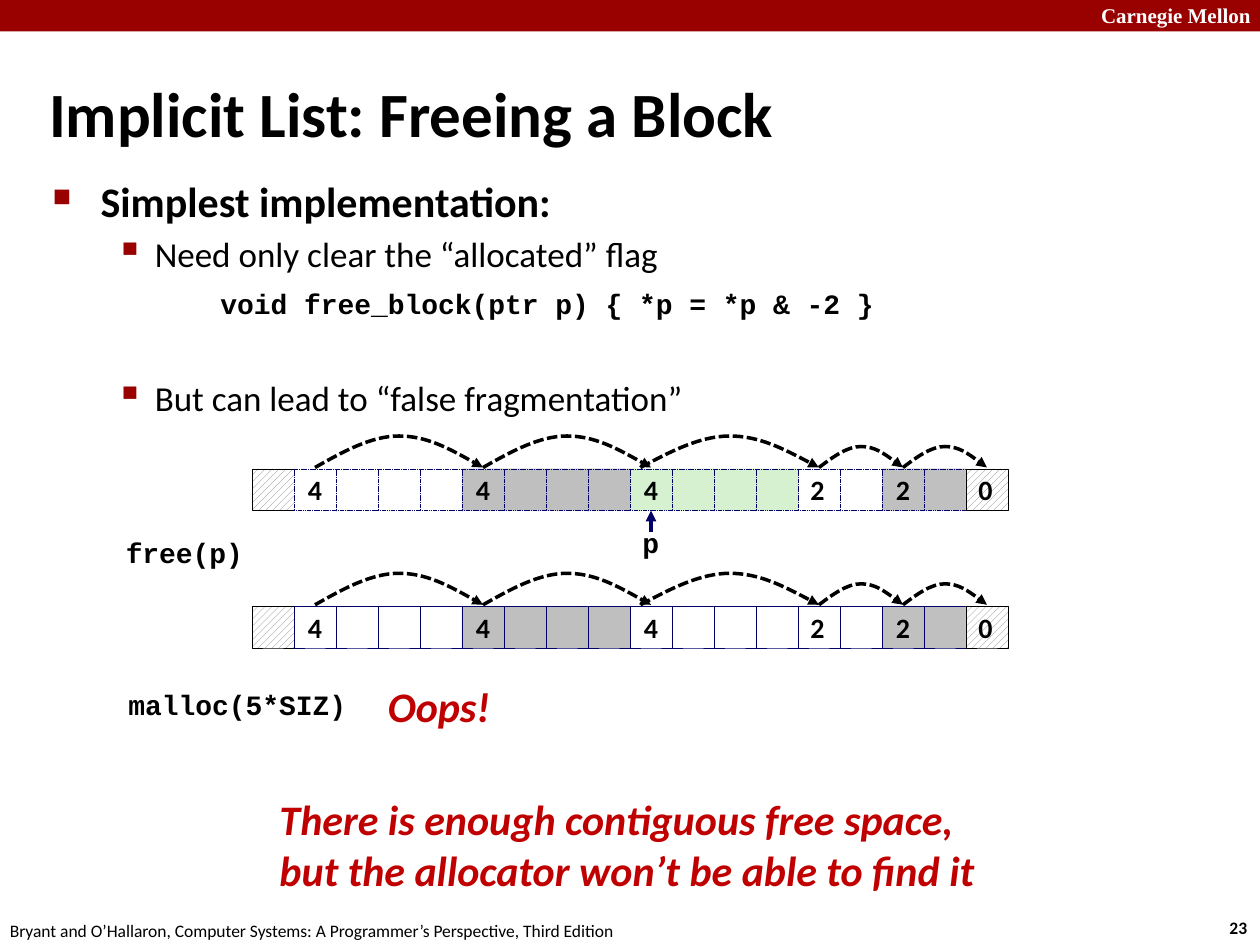
import pptx
import pptx.util
import pptx.dml.color
import pptx.enum.dml
import pptx.enum.shapes
import pptx.enum.text
import pptx.oxml
import pptx.oxml.ns

WIDTH = pptx.util.Inches(10)
HEIGHT = pptx.util.Inches(7.5)
CELL = WIDTH / 30
HEAP_LEFT = WIDTH / 5
HEAP_TOPS = (49.6, 64.13)
JUMPS = ((1, 5), (5, 9), (8.75, 13), (13, 15), (15, 17))
SIZES = {1: "4", 5: "4", 9: "4", 13: "2", 15: "2", 17: "0"}
LEFT_ALIGNED = (13, 17)
RED = "990000"
ACCENT = "C00000"
NAVY = "000066"
BLACK = "000000"
WHITE = "FFFFFF"
GREY = "BFBFBF"
LIGHT_GREY = "C0C0C0"
GREEN = "D5F1CF"
DASH = pptx.enum.dml.MSO_LINE.SQUARE_DOT


def color(value):
    return pptx.dml.color.RGBColor.from_string(value)


def across(percent):
    return round(WIDTH * percent / 100)


def down(percent):
    return round(HEIGHT * percent / 100)


def column_left(column):
    return round(HEAP_LEFT + column * CELL)


def place(left, top, width, height):
    return across(left), down(top), across(width), down(height)


def element(tag, **attributes):
    node = pptx.oxml.parse_xml(f"<a:{tag} {pptx.oxml.ns.nsdecls('a')}/>")
    for name, value in attributes.items():
        node.set(name, str(value))
    return node


def style(paragraph, size, face="Calibri", ink=BLACK, bold=True, italic=False):
    for run in paragraph.runs:
        run.font.size = pptx.util.Pt(size)
        run.font.name = face
        run.font.bold = bold
        run.font.italic = italic
        run.font.color.rgb = color(ink)


def stroke(line, ink, width, dash=None):
    line.color.rgb = color(ink)
    line.width = pptx.util.Pt(width)
    if dash:
        line.dash_style = dash


def add_arrowhead(line):
    line._get_or_add_ln().append(element("tailEnd", type="triangle"))


def add_label(slide, text, area, size, spacing=None, **look):
    frame = slide.shapes.add_textbox(*place(*area)).text_frame
    frame.word_wrap = False
    paragraph = frame.paragraphs[0]
    paragraph.text = text
    paragraph.line_spacing = spacing
    style(paragraph, size, **look)


def add_title(slide, text):
    title = slide.shapes.title
    title.left, title.top, title.width, title.height = place(2.9, 7.73, 78.8, 8.4)
    title.text_frame.text = text
    title.text_frame.vertical_anchor = pptx.enum.text.MSO_ANCHOR.MIDDLE
    paragraph = title.text_frame.paragraphs[0]
    paragraph.alignment = pptx.enum.text.PP_ALIGN.LEFT
    style(paragraph, 36)


def add_bullet(paragraph, mark, percent):
    ink = element("buClr")
    ink.append(element("srgbClr", val=RED))
    paragraph._p.get_or_add_pPr().extend(
        [ink, element("buSzPct", val=percent * 1000), element("buChar", char=mark)])


def add_outline(slide, items):
    frame = slide.shapes.add_textbox(*place(3.2, 17.87, 90.9, 63.33)).text_frame
    frame.word_wrap = True
    for index, (text, margin, hang, before, bullet, look) in enumerate(items):
        paragraph = frame.paragraphs[0] if index == 0 else frame.add_paragraph()
        paragraph.text = text
        properties = paragraph._p.get_or_add_pPr()
        properties.set("marL", str(pptx.util.Inches(margin)))
        properties.set("indent", str(-pptx.util.Inches(hang)))
        paragraph.space_before = pptx.util.Pt(before)
        if bullet:
            add_bullet(paragraph, *bullet)
        style(paragraph, **look)


def add_cell(slide, column, top, fill, dash):
    cell = slide.shapes.add_shape(
        pptx.enum.shapes.MSO_SHAPE.RECTANGLE,
        column_left(column), down(top), round(CELL), round(CELL))
    cell.shadow.inherit = False
    if fill:
        cell.fill.solid()
        cell.fill.fore_color.rgb = color(fill)
        stroke(cell.line, NAVY, 0.25, dash)
    else:
        cell.fill.patterned()
        cell.fill.pattern = pptx.enum.dml.MSO_PATTERN.WIDE_UPWARD_DIAGONAL
        cell.fill.fore_color.rgb = color("808080")
        cell.fill.back_color.rgb = color(WHITE)
        stroke(cell.line, BLACK, 0.25)
    if column in SIZES:
        cell.text_frame.text = SIZES[column]
        cell.text_frame.word_wrap = False
        cell.text_frame.vertical_anchor = pptx.enum.text.MSO_ANCHOR.MIDDLE
        align = pptx.enum.text.PP_ALIGN
        paragraph = cell.text_frame.paragraphs[0]
        paragraph.alignment = align.LEFT if column in LEFT_ALIGNED else align.CENTER
        style(paragraph, 16)
    return cell


def add_jump(slide, start, end, top):
    left = column_left(start + 0.5)
    width = column_left(end + 0.5) - left
    base = down(top - 0.13)
    rise = CELL * (0.75 if end - start > 2 else 0.5)
    builder = slide.shapes.build_freeform(left, base)
    curve = ((1, 0.5), (2, 1), (3, 1), (4, 1), (5, 0.5), (6, 0))
    builder.add_line_segments(
        [(round(left + width * sixth / 6), round(base - rise * lift))
         for sixth, lift in curve], close=False)
    jump = builder.convert_to_shape()
    lines = list(jump._element.iter(pptx.oxml.ns.qn("a:lnTo")))
    for first in (0, 3):
        bezier = element("cubicBezTo")
        lines[first].addprevious(bezier)
        for line in lines[first:first + 3]:
            bezier.append(line[0])
            line.getparent().remove(line)
    jump.shadow.inherit = False
    jump.fill.background()
    stroke(jump.line, BLACK, 2, DASH)
    add_arrowhead(jump.line)


def add_heap(slide, top, freed_fill, dash=None):
    fills = ([None] + [WHITE] * 4 + [GREY] * 4 + [freed_fill] * 4
             + [WHITE] * 2 + [LIGHT_GREY] * 2 + [None])
    cells = [add_cell(slide, column, top, fill, dash)
             for column, fill in enumerate(fills)]
    for start, end in JUMPS:
        add_jump(slide, start, end, top)
    return cells


def add_pointer(slide, target):
    middle = target.left + target.width // 2
    bottom = target.top + target.height
    pointer = slide.shapes.add_connector(
        pptx.enum.shapes.MSO_CONNECTOR.STRAIGHT,
        middle, round(bottom + CELL / 2), middle, bottom)
    pointer.end_connect(target, 2)
    stroke(pointer.line, NAVY, 2)
    add_arrowhead(pointer.line)
    pointer._element.spPr.append(element("effectLst"))


def add_header(slide):
    band = slide.shapes.add_shape(
        pptx.enum.shapes.MSO_SHAPE.RECTANGLE, *place(0, 0, 100, 3.33))
    band.shadow.inherit = False
    band.fill.solid()
    band.fill.fore_color.rgb = color(RED)
    band.line.fill.background()
    add_label(slide, "Carnegie Mellon", (86.4, -0.4, 14.3, 4), 12,
              face="Times New Roman", ink=WHITE)


def main():
    deck = pptx.Presentation()
    deck.slide_width, deck.slide_height = WIDTH, HEIGHT
    slide = deck.slides.add_slide(deck.slide_layouts[5])
    add_header(slide)
    add_label(slide, "23", (96.6, 96.4, 3.7, 3.6), 10)
    add_label(slide, "Bryant and O’Hallaron, Computer Systems: A Programmer’s "
              "Perspective, Third Edition", (-0.2, 96.67, 50.8, 3.6), 10, bold=False)
    add_title(slide, "Implicit List: Freeing a Block")
    code = {"size": 16, "face": "Courier New"}
    detail = {"size": 20, "bold": False}
    add_outline(slide, [
        ("Simplest implementation:", 0.38, 0.38, 0, ("■", 60), {"size": 24}),
        ("Need only clear the “allocated” flag", 0.81, 0.31, 4, ("▪", 110), detail),
        ("void free_block(ptr p) { *p = *p & -2 }", 1.33, 0, 7, None, code),
        ("But can lead to “false fragmentation”", 0.81, 0.31, 32, ("▪", 110), detail),
    ])
    before = add_heap(slide, HEAP_TOPS[0], GREEN, DASH)
    add_pointer(slide, before[9])
    add_heap(slide, HEAP_TOPS[1], WHITE)
    add_label(slide, "p", (50, 55.2, 3.3, 4.8), spacing=0.94, **code)
    add_label(slide, "free(p)", (9, 56.27, 11.4, 4.8), spacing=0.94, **code)
    add_label(slide, "malloc(5*SIZ)", (9.2, 72.4, 19.5, 4.8), spacing=0.94, **code)
    warning = {"size": 24, "ink": ACCENT, "italic": True}
    add_label(slide, "Oops!", (29.8, 71.33, 10.3, 6.67), **warning)
    add_label(slide, "There is enough contiguous free space,\vbut the allocator "
              "won’t be able to find it", (21.2, 83.33, 57.6, 16.13), **warning)
    deck.save("out.pptx")


if __name__ == "__main__":
    main()
